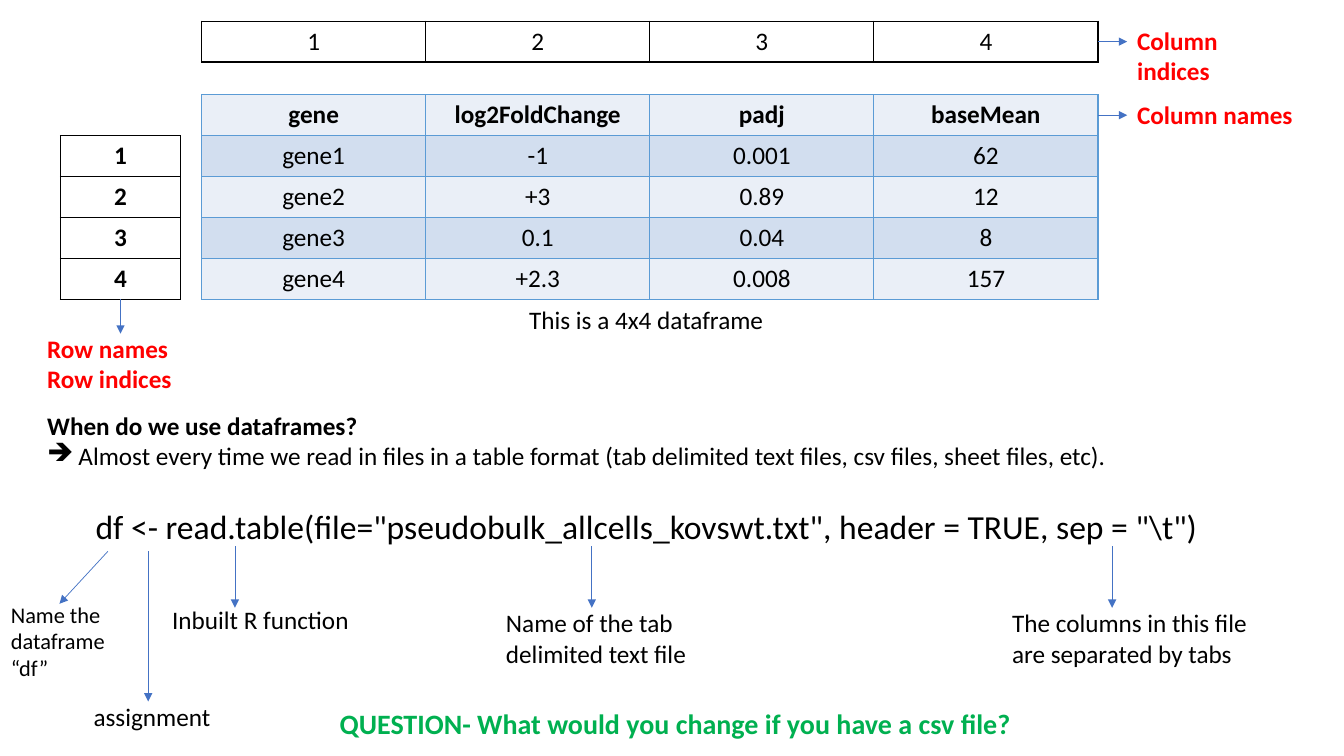
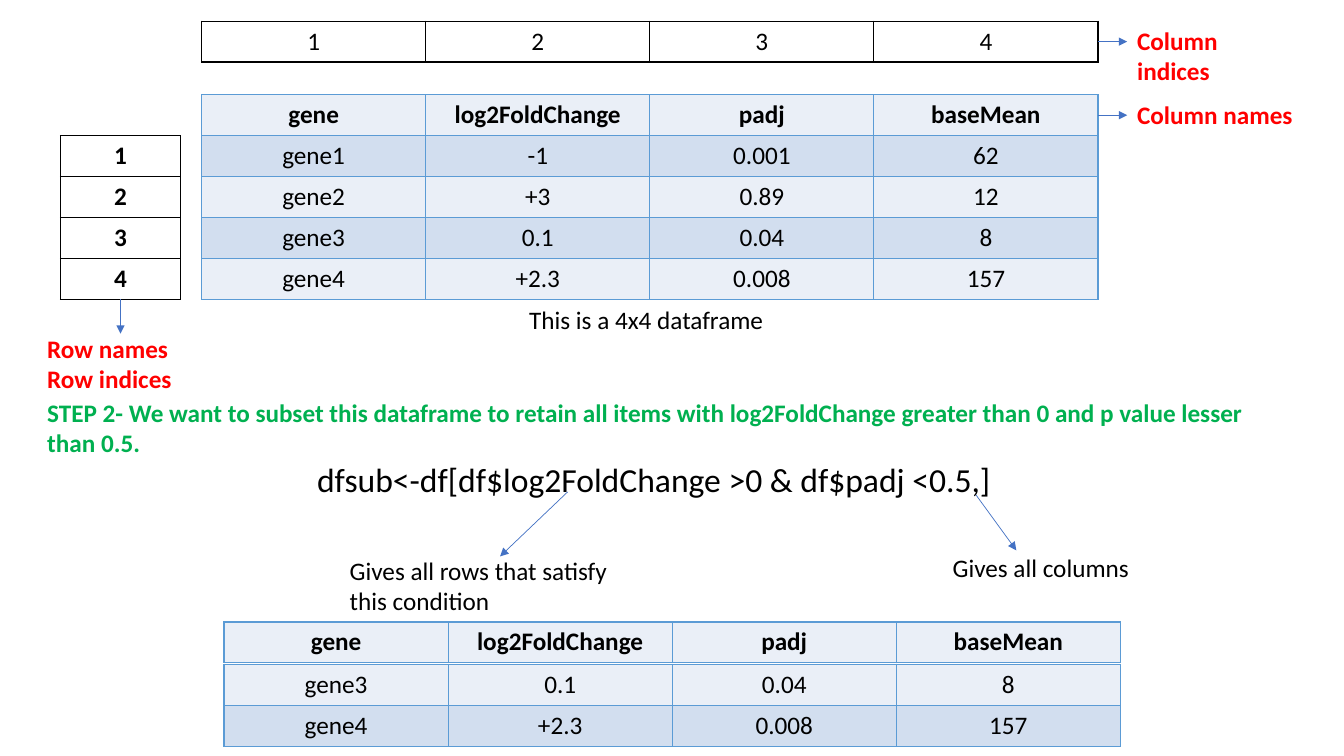
"""Build two slides that explain R dataframes, reading files and subsetting."""
from pptx import Presentation
from pptx.dml.color import RGBColor
from pptx.enum.shapes import MSO_CONNECTOR
from pptx.enum.text import MSO_AUTO_SIZE, PP_ALIGN
from pptx.oxml.ns import qn
from pptx.util import Inches, Pt
from lxml import etree

STRAIGHT = MSO_CONNECTOR.STRAIGHT
GROW = MSO_AUTO_SIZE.SHAPE_TO_FIT_TEXT
LEFT, CENTER = PP_ALIGN.LEFT, PP_ALIGN.CENTER

BLACK = RGBColor(0x00, 0x00, 0x00)
RED = RGBColor(0xFF, 0x00, 0x00)
GREEN = RGBColor(0x00, 0xB0, 0x50)
ARROW_BLUE = RGBColor(0x44, 0x72, 0xC4)
BORDER_BLUE = RGBColor(0x5B, 0x9B, 0xD5)
LIGHT_BAND = RGBColor(0xEA, 0xEF, 0xF7)
DARK_BAND = RGBColor(0xD2, 0xDE, 0xEF)

FONT = "Calibri"
BODY, CODE = 18, 24
INSET = 0.05
LINE_SPACING = 1.2

SLIDE_WIDTH, SLIDE_HEIGHT = 13.33, 7.5
COLUMN, ROW = 8.89 / 4, 2.03 / 5
TABLE_LEFT, TABLE_TOP = 2, 0.94
TABLE_RIGHT = TABLE_LEFT + 4 * COLUMN
TABLE_BOTTOM = TABLE_TOP + 5 * ROW
INDEX_LEFT, INDEX_TOP, INDEX_WIDTH = 0.6, 0.21, 1.19
LABEL_LEFT, LABEL_WIDTH = 11.18, 1.77
MARGIN = 0.37
BULLET_INDENT = 0.31

HEADER = ["gene", "log2FoldChange", "padj", "baseMean"]
GENES = [
    ["gene1", "-1", "0.001", "62"],
    ["gene2", "+3", "0.89", "12"],
    ["gene3", "0.1", "0.04", "8"],
    ["gene4", "+2.3", "0.008", "157"],
]
INDICES = ["1", "2", "3", "4"]


def style_paragraph(paragraph, size=BODY, color=BLACK, bold=False, align=LEFT):
    """Format a paragraph and all its runs."""
    paragraph.alignment = align
    for run in paragraph.runs:
        run.font.name = FONT
        run.font.size = Pt(size)
        run.font.bold = bold
        run.font.color.rgb = color


def add_text(slide, left, top, width, text, lines=1, size=BODY, **style):
    """Add a wrapped text box whose height follows from its lines."""
    height = lines * size * LINE_SPACING / 72 + 2 * INSET
    box = slide.shapes.add_textbox(
        Inches(left), Inches(top), Inches(width), Inches(height))
    frame = box.text_frame
    frame.word_wrap = True
    frame.auto_size = GROW
    frame.text = text
    for paragraph in frame.paragraphs:
        style_paragraph(paragraph, size, **style)
    return frame


def add_bullet(paragraph, character):
    """Give a paragraph a hanging bullet."""
    properties = paragraph._p.get_or_add_pPr()
    properties.set("marL", str(Inches(BULLET_INDENT)))
    properties.set("indent", str(-Inches(BULLET_INDENT)))
    etree.SubElement(properties, qn("a:buChar"), char=character)


def add_arrow(slide, start, end):
    """Add a thin arrow between two points."""
    points = [Inches(value) for value in (*start, *end)]
    connector = slide.shapes.add_connector(STRAIGHT, *points)
    connector.line.color.rgb = ARROW_BLUE
    connector.line.width = Pt(0.5)
    etree.SubElement(connector.line._get_or_add_ln(), qn("a:tailEnd"), type="triangle")
    etree.SubElement(connector._element.spPr, qn("a:effectLst"))


def add_borders(cell, color):
    """Draw all four borders of a cell."""
    properties = cell._tc.get_or_add_tcPr()
    for side in ("a:lnL", "a:lnR", "a:lnT", "a:lnB"):
        line = etree.SubElement(properties, qn(side), w=str(Pt(1)))
        fill = etree.SubElement(line, qn("a:solidFill"))
        etree.SubElement(fill, qn("a:srgbClr"), val=str(color))


def add_grid(slide, left, top, rows, border, bands=None, column=COLUMN, bold_rows=0):
    """Add a bordered table, banded when band colours are given."""
    row_count, column_count = len(rows), len(rows[0])
    table = slide.shapes.add_table(
        row_count, column_count, Inches(left), Inches(top),
        Inches(column * column_count), Inches(ROW * row_count)).table
    table.first_row = False
    table.horz_banding = False
    for row_index, values in enumerate(rows):
        for column_index, value in enumerate(values):
            cell = table.cell(row_index, column_index)
            cell.text_frame.text = value
            style_paragraph(cell.text_frame.paragraphs[0],
                            bold=row_index < bold_rows, align=CENTER)
            add_borders(cell, border)
            if bands:
                cell.fill.solid()
                cell.fill.fore_color.rgb = bands[row_index % len(bands)]
            else:
                cell.fill.background()


def add_dataframe(slide):
    """Add the labelled dataframe that both slides share."""
    bands = (LIGHT_BAND, DARK_BAND)
    add_grid(slide, TABLE_LEFT, TABLE_TOP, [HEADER, *GENES], BORDER_BLUE, bands,
             bold_rows=1)
    add_grid(slide, TABLE_LEFT, INDEX_TOP, [INDICES], BLACK)
    add_grid(slide, INDEX_LEFT, TABLE_TOP + ROW, [[index] for index in INDICES], BLACK,
             column=INDEX_WIDTH, bold_rows=len(INDICES))

    add_text(slide, LABEL_LEFT, 0.2, LABEL_WIDTH, "Column indices", lines=2,
             color=RED, bold=True)
    add_text(slide, LABEL_LEFT, TABLE_TOP, LABEL_WIDTH, "Column names",
             color=RED, bold=True)
    add_text(slide, MARGIN, 3.26, 1.64, "Row names\nRow indices", lines=2,
             color=RED, bold=True)
    add_text(slide, 5.15, TABLE_BOTTOM, 3 * COLUMN, "This is a 4x4 dataframe")

    for top in (INDEX_TOP, TABLE_TOP):
        middle = top + ROW / 2
        add_arrow(slide, (TABLE_RIGHT, middle), (LABEL_LEFT, middle))
    index_center = INDEX_LEFT + INDEX_WIDTH / 2
    add_arrow(slide, (index_center, TABLE_BOTTOM), (index_center, 3.31))


def add_reading_slide(slide):
    """Explain how a file is read into a dataframe."""
    add_dataframe(slide)
    frame = add_text(
        slide, MARGIN, 4.02, 12.11,
        "When do we use dataframes?\nAlmost every time we read in files in a table format "
        "(tab delimited text files, csv files, sheet files, etc).", lines=2)
    heading, answer = frame.paragraphs
    style_paragraph(heading, bold=True)
    add_bullet(answer, "➔")

    add_text(slide, 0.85, 4.97, 11.48,
             r'df <- read.table(file="pseudobulk_allcells_kovswt.txt", '
             r'header = TRUE, sep = "\t")', size=CODE)
    add_arrow(slide, (1.07, 5.47), (0.59, 5.99))
    add_arrow(slide, (1.47, 5.47), (1.47, 6.96))
    for center in (2.33, 5.87, 11.03):
        add_arrow(slide, (center, 5.42), (center, 6.03))

    add_text(slide, 0.01, 5.91, 1.2, "Name the dataframe “df”", lines=3, size=16)
    notes = [
        (0.83, 6.91, 1.5, "assignment", 1),
        (1.61, 5.95, 2.1, "Inbuilt R function", 1),
        (4.92, 5.98, 2.45, "Name of the tab delimited text file", 2),
        (9.94, 5.98, 2.8, "The columns in this file are separated by tabs", 2),
    ]
    for note in notes:
        add_text(slide, *note)
    add_text(slide, 3.27, 6.96, 9.07,
             "QUESTION- What would you change if you have a csv file?",
             size=20, color=GREEN, bold=True)


def add_subset_slide(slide):
    """Explain how rows of the dataframe are kept by a condition."""
    add_dataframe(slide)
    add_text(slide, MARGIN, 3.89, 12.31,
             "STEP 2- We want to subset this dataframe to retain all items with "
             "log2FoldChange greater than 0 and p value lesser than 0.5.",
             lines=2, color=GREEN, bold=True)
    add_text(slide, 0.33, 4.5, 12.31, "dfsub<-df[df$log2FoldChange >0 & df$padj <0.5,]",
             size=CODE, align=CENTER)
    add_arrow(slide, (5.63, 4.88), (4.96, 5.52))
    add_arrow(slide, (9.68, 4.91), (10.08, 5.46))
    add_text(slide, 3.37, 5.46, 2.79, "Gives all rows that satisfy this condition", lines=2)
    add_text(slide, 9.35, 5.43, 2.79, "Gives all columns")

    add_grid(slide, COLUMN, 6.59, GENES[2:], BORDER_BLUE, (LIGHT_BAND, DARK_BAND))
    add_grid(slide, COLUMN, 6.17, [HEADER], BORDER_BLUE, (LIGHT_BAND,), bold_rows=1)


def main():
    """Build and save the presentation."""
    presentation = Presentation()
    presentation.slide_width = Inches(SLIDE_WIDTH)
    presentation.slide_height = Inches(SLIDE_HEIGHT)
    blank = presentation.slide_layouts[6]
    for add_content in (add_reading_slide, add_subset_slide):
        add_content(presentation.slides.add_slide(blank))
    presentation.save("out.pptx")


if __name__ == "__main__":
    main()
